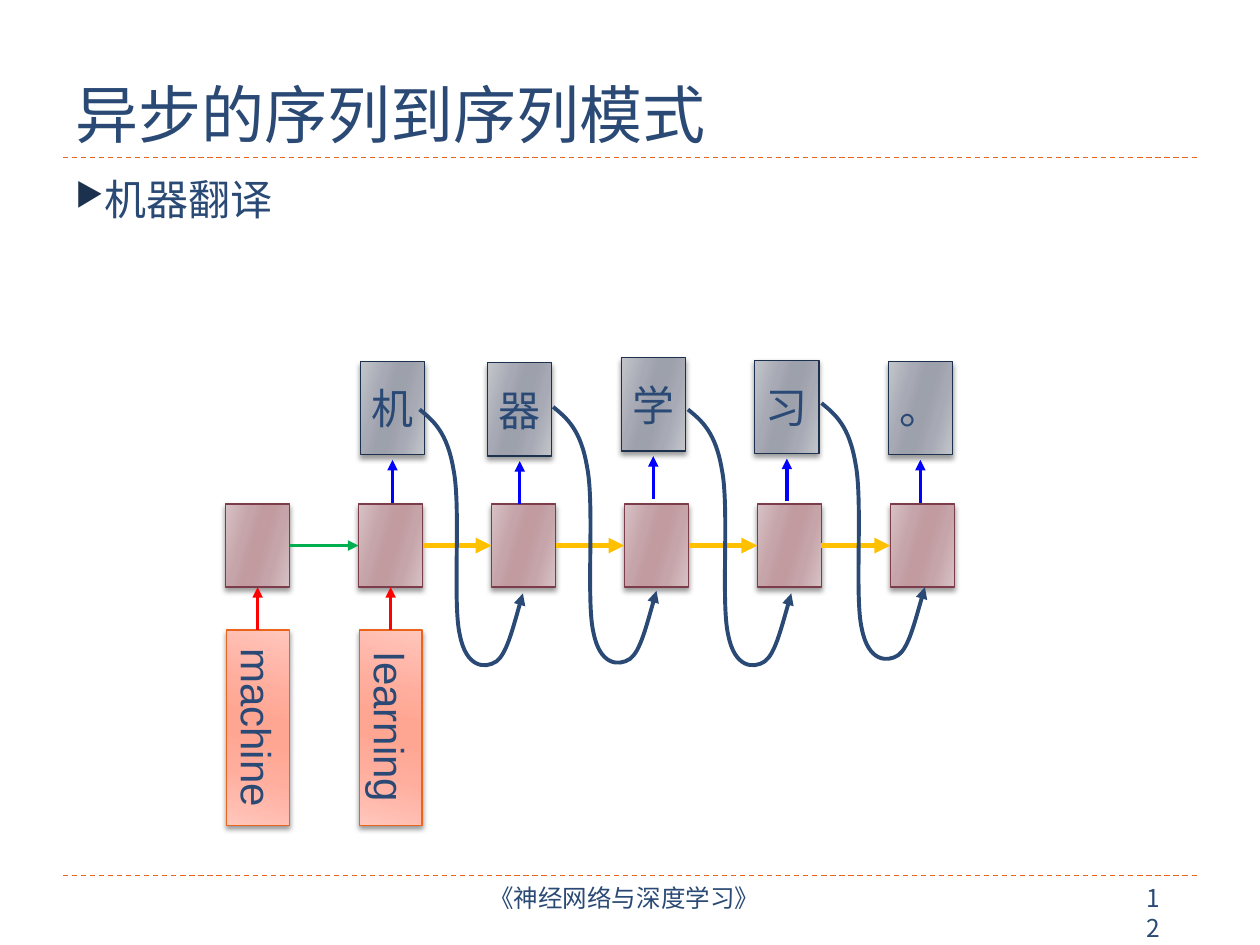
from dataclasses import dataclass
from typing import NamedTuple

from lxml import etree
from pptx import Presentation
from pptx.dml.color import RGBColor
from pptx.enum.dml import MSO_LINE
from pptx.enum.shapes import MSO_CONNECTOR, MSO_SHAPE
from pptx.enum.text import MSO_ANCHOR, PP_ALIGN
from pptx.oxml.ns import qn
from pptx.util import Inches, Pt

STRAIGHT = MSO_CONNECTOR.STRAIGHT
RECTANGLE = MSO_SHAPE.RECTANGLE
DASH = MSO_LINE.DASH
LEFT, CENTER = PP_ALIGN.LEFT, PP_ALIGN.CENTER
TOP, BOTTOM = MSO_ANCHOR.TOP, MSO_ANCHOR.BOTTOM

SLIDE_WIDTH, SLIDE_HEIGHT = Inches(10), Inches(7.5)
COLUMNS, ROWS = 100, 75
CJK, LATIN = "Noto Sans CJK SC", "Arial"
INK, NAVY, RULE_ORANGE = "2A4A75", "1C314E", "EB641B"
RED, BLUE, GREEN, GOLD = "FF0000", "0000FF", "00B050", "FFC000"
STOP_POSITIONS = (0, 30, 45, 55, 73, 100)


class Box(NamedTuple):
    left: float
    top: float
    width: float
    height: float


class Point(NamedTuple):
    column: float
    row: float


@dataclass(frozen=True)
class Finish:
    edge: str
    middle: str
    core: str
    outline: str

    def stops(self) -> tuple:
        return (self.edge, self.middle, self.core, self.core, self.middle, self.edge)


@dataclass(frozen=True)
class Output:
    token: str
    left: float
    top: float


STATE_FINISH = Finish("D7C2C5", "C6A5AA", "C19BA0", "7D3C4A")
OUTPUT_FINISH = Finish("C3C5CB", "A7AAB4", "9DA1AC", NAVY)
INPUT_FINISH = Finish("FFC6BC", "FFAE9E", "FFA693", RULE_ORANGE)

STATE_COUNT, STATE_LEFT, STATE_PITCH = 6, 17.9, 10.55
STATE_TOP, STATE_WIDTH, STATE_HEIGHT = 40, 5.1, 6.6
INPUTS = ("machine", "learning")
INPUT_TOP, INPUT_LENGTH, INPUT_THICKNESS = 50, 15.5, 5
OUTPUTS = (
    Output("机", 28.6, 28.7),
    Output("器", 38.7, 28.8),
    Output("学", 49.3, 28.4),
    Output("习", 59.9, 28.6),
    Output("。", 70.5, 28.7),
)
OUTPUT_WIDTH, OUTPUT_HEIGHT = 5.1, 7.4
FEEDBACK_STARTS = (Point(33.3, 32.5), Point(43.9, 32.3), Point(54.6, 32.5), Point(65.2, 32))
FEEDBACK_CURVE = (
    Point(1.1, 0.9), Point(2.2, 1.8), Point(2.7, 4.8),
    Point(3.3, 7.8), Point(2.6, 15.4), Point(3.2, 17.9),
    Point(3.7, 20.5), Point(5.2, 20.6), Point(6.1, 20),
    Point(6.9, 19.4), Point(7.5, 17), Point(8.2, 14.6),
)


def col(count: float) -> int:
    return round(SLIDE_WIDTH * count / COLUMNS)


def row(count: float) -> int:
    return round(SLIDE_HEIGHT * count / ROWS)


def place(box: Box) -> tuple:
    return col(box.left), row(box.top), col(box.width), row(box.height)


def rgb(code: str) -> RGBColor:
    return RGBColor.from_string(code)


def child(parent, tag: str, **attributes):
    return etree.SubElement(parent, qn(tag), attributes)


def set_line(line, color: str, width: float) -> None:
    line.color.rgb = rgb(color)
    line.width = Pt(width)


def add_arrowhead(shape) -> None:
    child(shape.line._get_or_add_ln(), "a:tailEnd", type="triangle")


def write(shape, text: str, size: float, font: str, align=LEFT, anchor=TOP):
    frame = shape.text_frame
    frame.word_wrap = True
    frame.vertical_anchor = anchor
    paragraph = frame.paragraphs[0]
    paragraph.text = text
    paragraph.alignment = align
    paragraph.font.size = Pt(size)
    paragraph.font.color.rgb = rgb(INK)
    paragraph.font.name = font
    child(paragraph._p.pPr.find(qn("a:defRPr")), "a:ea", typeface=CJK)
    return paragraph


def add_text(slide, box: Box, text: str, size: float, font: str = CJK, align=LEFT, anchor=TOP):
    return write(slide.shapes.add_textbox(*place(box)), text, size, font, align, anchor)


def add_block(slide, box: Box, finish: Finish):
    block = slide.shapes.add_shape(RECTANGLE, *place(box))
    set_line(block.line, finish.outline, 0.75)
    block.fill.gradient()
    block.fill.gradient_angle = 344
    properties = block._element.spPr
    stops = properties.find(".//" + qn("a:gsLst"))
    stops.clear()
    for position, color in zip(STOP_POSITIONS, finish.stops()):
        child(child(stops, "a:gs", pos=str(position * 1000)), "a:srgbClr", val=color)
    shadow = child(
        child(properties, "a:effectLst"), "a:outerShdw",
        blurRad=str(Pt(3)), dist=str(Pt(2)), dir="5400000", rotWithShape="0",
    )
    child(child(shadow, "a:srgbClr", val="000000"), "a:alpha", val="40000")
    return block


def add_line(slide, start: Point, end: Point, color: str, width: float):
    line = slide.shapes.add_connector(
        STRAIGHT, col(start.column), row(start.row), col(end.column), row(end.row)
    )
    set_line(line.line, color, width)
    child(line._element.spPr, "a:effectLst")
    return line


def add_arrow(slide, start: Point, end: Point, color: str, width: float = 2):
    arrow = add_line(slide, start, end, color, width)
    add_arrowhead(arrow)
    return arrow


def add_feedback(slide, start: Point) -> None:
    vertices = [(col(start.column + p.column), row(start.row + p.row)) for p in FEEDBACK_CURVE]
    builder = slide.shapes.build_freeform(col(start.column), row(start.row))
    builder.add_line_segments(vertices, close=False)
    feedback = builder.convert_to_shape()
    outline = feedback._element.find(".//" + qn("a:path"))
    segments = outline.findall(qn("a:lnTo"))
    for first in range(0, len(segments), 3):
        bezier = child(outline, "a:cubicBezTo")
        for segment in segments[first:first + 3]:
            bezier.append(segment[0])
            outline.remove(segment)
    feedback.fill.background()
    feedback.shadow.inherit = False
    set_line(feedback.line, INK, 2.25)
    add_arrowhead(feedback)


def add_frame(slide) -> None:
    for level in (12.5, 69.5):
        add_line(slide, Point(5, level), Point(95, level), RULE_ORANGE, 0.75).line.dash_style = DASH
    add_text(slide, Box(33.3, 69.6, 32.5, 4), "《神经网络与深度学习》", 14, align=CENTER)
    add_text(slide, Box(90, 69.6, 4.1, 3.4), "12", 14)
    add_text(slide, Box(5, 1.7, 90, 10.8), "异步的序列到序列模式", 36, anchor=BOTTOM)
    topic = add_text(slide, Box(5, 13.3, 90, 54), "机器翻译", 24)
    topic.space_before = Pt(4.5)
    settings = topic._p.pPr
    settings.set("marL", str(col(2.2)))
    settings.set("indent", str(-col(2.2)))
    defaults = settings.find(qn("a:defRPr"))
    bullet_color = child(settings, "a:buClr")
    child(bullet_color, "a:srgbClr", val=NAVY)
    bullet_size = child(settings, "a:buSzPct", val="76000")
    bullet = child(settings, "a:buChar", char="▶")
    for part in (bullet_color, bullet_size, bullet):
        defaults.addprevious(part)


def add_network(slide) -> None:
    state_lefts = [STATE_LEFT + STATE_PITCH * step for step in range(STATE_COUNT)]
    states = [
        add_block(slide, Box(left, STATE_TOP, STATE_WIDTH, STATE_HEIGHT), STATE_FINISH)
        for left in state_lefts
    ]
    for word, left, state in zip(INPUTS, state_lefts, states):
        center = left + STATE_WIDTH / 2
        middle = INPUT_TOP + INPUT_LENGTH / 2
        word_box = Box(
            center - INPUT_LENGTH / 2, middle - INPUT_THICKNESS / 2, INPUT_LENGTH, INPUT_THICKNESS
        )
        block = add_block(slide, word_box, INPUT_FINISH)
        block.rotation = 90
        write(block, word, 24, LATIN, CENTER)
        reading = add_arrow(
            slide, Point(center, INPUT_TOP), Point(center, STATE_TOP + STATE_HEIGHT), RED
        )
        reading.end_connect(state, 2)
    for output in OUTPUTS:
        add_block(slide, Box(output.left, output.top, OUTPUT_WIDTH, OUTPUT_HEIGHT), OUTPUT_FINISH)
        token_box = Box(output.left - 0.9, output.top + 1.2, 6.9, 5)
        add_text(slide, token_box, output.token, 24, LATIN, CENTER)
        center, bottom = output.left + OUTPUT_WIDTH / 2, output.top + OUTPUT_HEIGHT
        add_arrow(slide, Point(center, bottom + 3.8), Point(center, bottom + 0.4), BLUE)
    for step, (before, after) in enumerate(zip(states, states[1:])):
        color, width = (GOLD, 3) if step else (GREEN, 2)
        level = STATE_TOP + STATE_HEIGHT / 2
        start = Point(state_lefts[step] + STATE_WIDTH, level)
        transition = add_arrow(slide, start, Point(state_lefts[step + 1], level), color, width)
        transition.begin_connect(before, 3)
        transition.end_connect(after, 1)
    for start in FEEDBACK_STARTS:
        add_feedback(slide, start)


def main() -> None:
    deck = Presentation()
    deck.slide_width, deck.slide_height = SLIDE_WIDTH, SLIDE_HEIGHT
    slide = deck.slides.add_slide(deck.slide_layouts[6])
    add_frame(slide)
    add_network(slide)
    deck.save("out.pptx")


if __name__ == "__main__":
    main()
